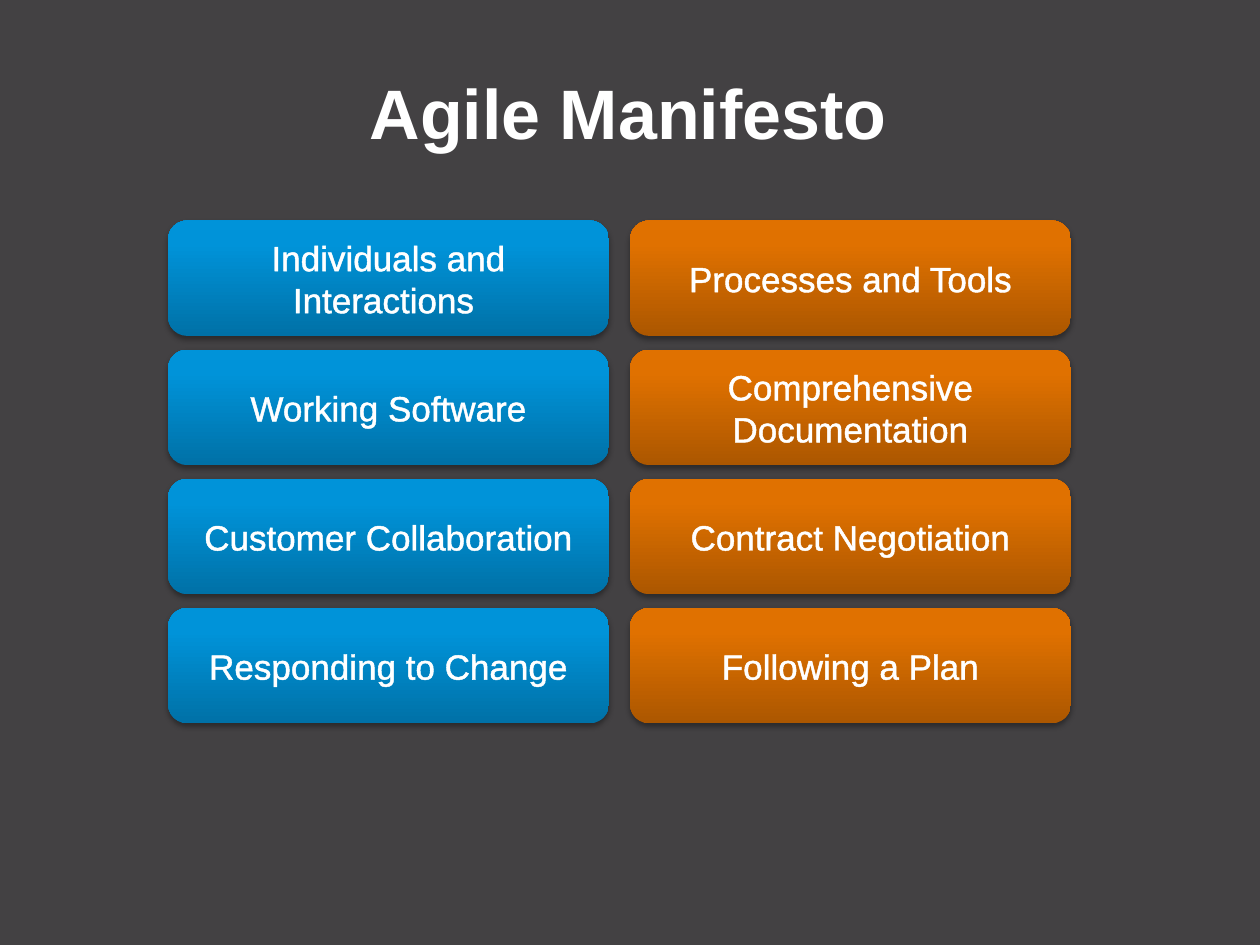
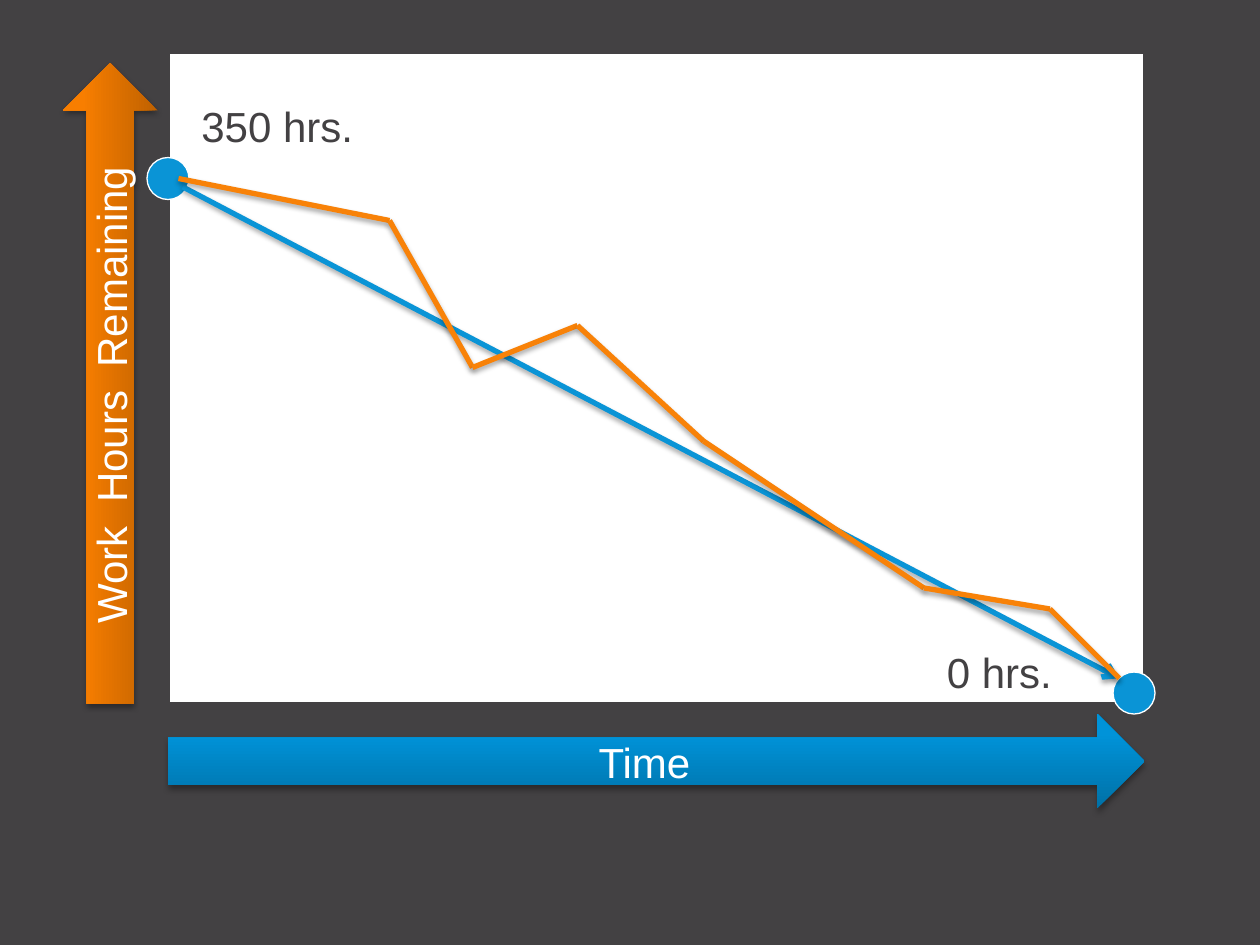
import pptx
import pptx.util
import pptx.dml.color
import pptx.enum.shapes
import pptx.enum.text
import pptx.oxml
import pptx.oxml.ns

RGBColor = pptx.dml.color.RGBColor
Shape = pptx.enum.shapes.MSO_SHAPE
Align = pptx.enum.text.PP_ALIGN
Anchor = pptx.enum.text.MSO_ANCHOR
AutoSize = pptx.enum.text.MSO_AUTO_SIZE
Pt = pptx.util.Pt

PX = 914400 // 120  # 120 px to the inch
FONT = "Arial"
GREY = RGBColor(0x43, 0x41, 0x43)
WHITE = RGBColor(0xFF, 0xFF, 0xFF)
BLACK = RGBColor(0, 0, 0)
BLUE = RGBColor(0x0A, 0x94, 0xD6)
ORANGE = RGBColor(0xF8, 0x82, 0x08)

# Gradients run from the bottom of a shape to its top.
STOPS = (0, 80, 100)
BLUE_BLEND = (RGBColor(0x00, 0x71, 0xA7), RGBColor(0x00, 0x93, 0xD9), RGBColor(0x00, 0x94, 0xDA))
RUST_BLEND = (RGBColor(0xAC, 0x57, 0x00), RGBColor(0xE0, 0x71, 0x00), RGBColor(0xE1, 0x72, 0x00))
ORANGE_BLEND = (RGBColor(0xBF, 0x61, 0x00), RGBColor(0xF8, 0x7E, 0x00), RGBColor(0xF9, 0x7F, 0x00))

TITLE = "Agile Manifesto"
VALUES = [
    ("Individuals and Interactions ", "Processes and Tools"),
    ("Working Software", "Comprehensive Documentation"),
    ("Customer Collaboration", "Contract Negotiation"),
    ("Responding to Change", "Following a Plan"),
]
CARD_LEFT, CARD_TOP = 160, 210
CARD_WIDTH, CARD_HEIGHT = 420, 110
COLUMN_STEP, ROW_STEP = 440, 123

CHART_AREA = (160, 50, 930, 620)
AXES = [
    ("Time", (160, 680, 930, 90), 0, BLUE_BLEND),
    ("Work  Hours  Remaining", (-200, 320, 610, 90), 270, ORANGE_BLEND),
]
ENDPOINTS = [(160, 170), (1080, 660)]
DOT_SIZE = 40
IDEAL = [(174, 178), (1066, 646)]
ACTUAL = [(170, 170), (371, 210), (450, 350), (550, 310),
          (670, 420), (880, 560), (1000, 580), (1066, 646)]
HOUR_LABELS = [("350 hrs.", (180, 90, 170, 60)), ("0 hrs.", (890, 610, 125, 60))]


def px(*lengths):
    return [length * PX for length in lengths]


def drawing_xml(markup):
    """Parse markup whose outer tag ends with {ns}."""
    return pptx.oxml.parse_xml(markup.replace("{ns}", pptx.oxml.ns.nsdecls("a")))


def cast_shadow(item):
    """Add the soft shadow; call it after the line has been set."""
    item.element.spPr.append(drawing_xml(
        f'<a:effectLst {{ns}}><a:outerShdw blurRad="{Pt(3.1)}" dist="{Pt(1.8)}" dir="5400000" '
        f'rotWithShape="0"><a:srgbClr val="{BLACK}"><a:alpha val="35000"/></a:srgbClr>'
        '</a:outerShdw></a:effectLst>'))


def write(box, text, size=24, color=WHITE, bold=False, align=Align.CENTER,
          anchor=Anchor.MIDDLE, wrap=True, outline=None):
    frame = box.text_frame
    frame.word_wrap = wrap
    frame.auto_size = AutoSize.NONE if wrap else AutoSize.SHAPE_TO_FIT_TEXT
    frame.vertical_anchor = anchor
    para = frame.paragraphs[0]
    para.alignment = align
    span = para.add_run()
    span.text = text
    span.font.name = FONT
    span.font.size = Pt(size)
    span.font.bold = bold
    span.font.color.rgb = color
    if outline:
        span.font.fill  # fill stays solid; the outline goes before it
        span.font._element.insert(0, drawing_xml(
            f'<a:ln {{ns}} w="{Pt(outline)}"><a:solidFill><a:srgbClr val="{color}"/>'
            '</a:solidFill></a:ln>'))


def add_flat(page, kind, place, fill, line, width):
    shape = page.shapes.add_shape(kind, *px(*place))
    shape.fill.solid()
    shape.fill.fore_color.rgb = fill
    shape.line.color.rgb = line
    shape.line.width = Pt(width)
    shape.shadow.inherit = False


def add_blended(page, kind, place, blend):
    """Add a shape with a gradient fill, no line and a soft shadow."""
    shape = page.shapes.add_shape(kind, *px(*place))
    shape.line.fill.background()
    stops = "".join(f'<a:gs pos="{stop * 1000}"><a:srgbClr val="{color}"/></a:gs>'
                    for stop, color in zip(STOPS, blend))
    properties = shape.element.spPr
    outline = properties.find(pptx.oxml.ns.qn("a:ln"))
    outline.addprevious(drawing_xml(
        f'<a:gradFill {{ns}} rotWithShape="1"><a:gsLst>{stops}</a:gsLst>'
        '<a:lin ang="16200000" scaled="0"/></a:gradFill>'))
    cast_shadow(shape)
    return shape


def add_path(page, points, color, arrow=False):
    for start, end in zip(points, points[1:]):
        segment = page.shapes.add_connector(
            pptx.enum.shapes.MSO_CONNECTOR.STRAIGHT, *px(*start, *end))
        segment.line.color.rgb = color
        segment.line.width = Pt(3)
        if arrow:
            segment.line._get_or_add_ln().append(drawing_xml('<a:tailEnd {ns} type="arrow"/>'))
        cast_shadow(segment)


def build_manifesto(deck):
    page = deck.slides.add_slide(deck.slide_layouts[5])
    title = page.shapes.title
    title.left, title.top, title.width, title.height = px(340, 60, 522, 92)
    write(title, TITLE, size=40, bold=True, align=Align.LEFT, anchor=Anchor.TOP, wrap=False)
    for row, pair in enumerate(VALUES):
        for column, (text, blend) in enumerate(zip(pair, (BLUE_BLEND, RUST_BLEND))):
            place = (CARD_LEFT + column * COLUMN_STEP, CARD_TOP + row * ROW_STEP,
                     CARD_WIDTH, CARD_HEIGHT)
            card = add_blended(page, Shape.ROUNDED_RECTANGLE, place, blend)
            write(card, text, size=20, outline=1.45)


def build_burndown(deck):
    page = deck.slides.add_slide(deck.slide_layouts[6])
    add_flat(page, Shape.RECTANGLE, CHART_AREA, WHITE, GREY, 2)
    for text, place, rotation, blend in AXES:
        axis = add_blended(page, Shape.RIGHT_ARROW, place, blend)
        axis.rotation = rotation
        write(axis, text)
    for x, y in ENDPOINTS:
        place = (x - DOT_SIZE // 2, y - DOT_SIZE // 2, DOT_SIZE, DOT_SIZE)
        add_flat(page, Shape.OVAL, place, BLUE, WHITE, 0.75)
    add_path(page, IDEAL, BLUE, arrow=True)
    for text, place in HOUR_LABELS:
        label = page.shapes.add_textbox(*px(*place))
        write(label, text, color=GREY, align=Align.LEFT, anchor=Anchor.TOP, wrap=False)
    add_path(page, ACTUAL, ORANGE)


def main():
    deck = pptx.Presentation()
    deck.slide_width, deck.slide_height = px(1200, 900)
    background = deck.slide_master.background.fill
    background.solid()
    background.fore_color.rgb = GREY
    build_manifesto(deck)
    build_burndown(deck)
    deck.save("out.pptx")


if __name__ == "__main__":
    main()
